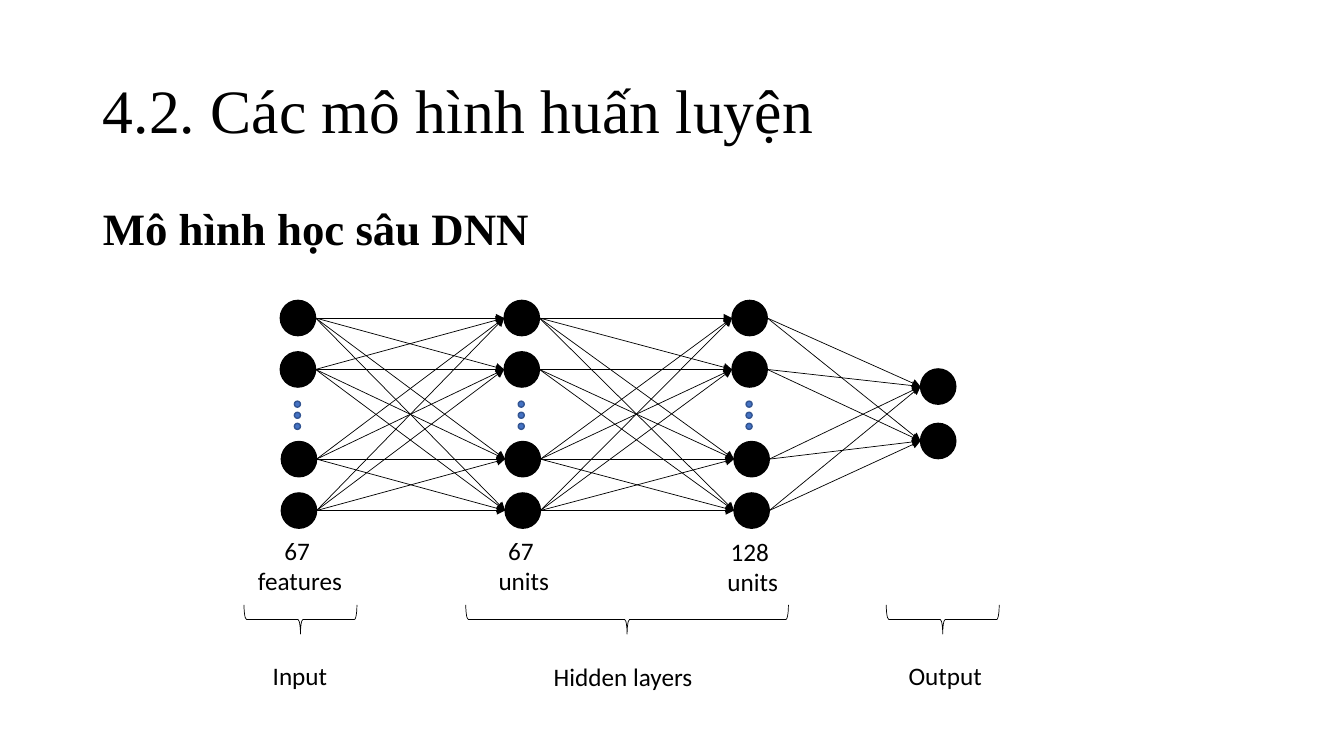
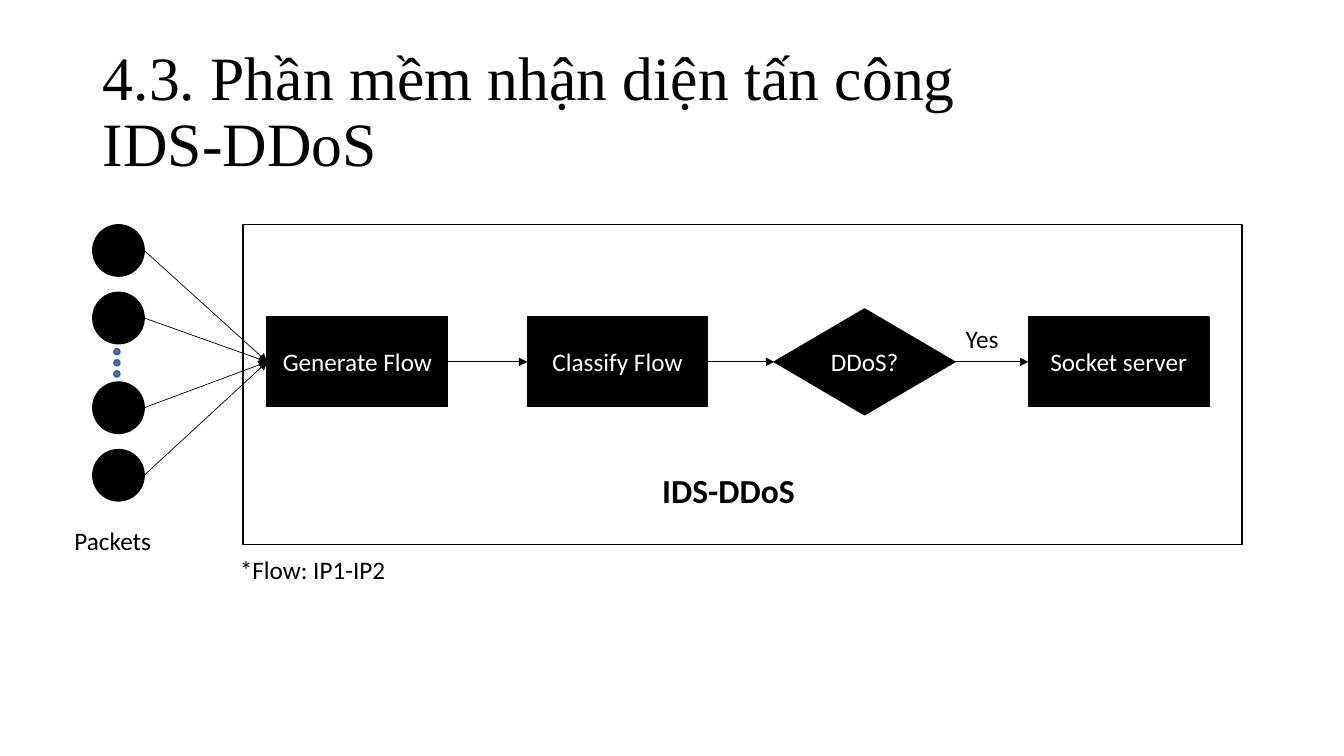
from dataclasses import dataclass
from itertools import pairwise, product

from lxml.etree import SubElement
from pptx import Presentation
from pptx.dml.color import RGBColor
from pptx.enum.shapes import MSO_CONNECTOR, MSO_SHAPE
from pptx.enum.text import MSO_ANCHOR, MSO_AUTO_SIZE, PP_ALIGN
from pptx.oxml.ns import qn
from pptx.presentation import Presentation as PresentationType
from pptx.shapes.autoshape import Shape
from pptx.shapes.connector import Connector
from pptx.slide import Slide
from pptx.text.text import TextFrame
from pptx.util import Inches, Pt

BLACK = RGBColor(0x00, 0x00, 0x00)
WHITE = RGBColor(0xFF, 0xFF, 0xFF)
DOT_BLUE = RGBColor(0x44, 0x72, 0xC4)
DOT_EDGE = RGBColor(0x32, 0x54, 0x91)

HEADING_FONT = "Times New Roman"
LABEL_FONT = "Calibri"

LEFT_SIDE = 1
RIGHT_SIDE = 3
DOT_SIZE = 0.06
DOT_STEP = 0.11


@dataclass(frozen=True)
class Box:
    left: float
    top: float
    width: float
    height: float


@dataclass(frozen=True)
class Label:
    text: str
    box: Box
    size: int = 18
    bold: bool = False
    align: PP_ALIGN = PP_ALIGN.LEFT


@dataclass(frozen=True)
class Layer:
    left: float
    tops: tuple[float, ...]
    lower_shift: float = 0.01


@dataclass(frozen=True)
class Brace:
    center: float
    width: float


@dataclass(frozen=True)
class Step:
    text: str
    left: float
    height: float = 0.89
    preset: MSO_SHAPE = MSO_SHAPE.RECTANGLE


TITLE_BOX = Box(0.92, 0.4, 11.5, 1.45)
BODY_BOX = Box(0.92, 2, 11.5, 4.76)

NODE_SIZE = 0.35
LAYER_TOPS = (2.98, 3.49, 4.38, 4.89)
LAYERS = (
    Layer(2.78, LAYER_TOPS),
    Layer(5, LAYER_TOPS),
    Layer(7.26, LAYER_TOPS, 0.02),
    Layer(9.13, (3.66, 4.2), 0),
)
UNLINKED = {(1, 1, 0)}
BRACES = (Brace(2.98, 1.12), Brace(6.22, 3.2), Brace(9.35, 1.12))
BRACE_TOP = 6
BRACE_DEPTH = 0.29
NETWORK_LABELS = (
    Label("67 \nfeatures", Box(2.28, 5.26, 1.39, 0.71), align=PP_ALIGN.CENTER),
    Label("67 \nunits", Box(4.5, 5.26, 1.39, 0.71), align=PP_ALIGN.CENTER),
    Label("128 \nunits", Box(6.77, 5.27, 1.39, 0.71), align=PP_ALIGN.CENTER),
    Label("Input", Box(2.28, 6.5, 1.39, 0.4), align=PP_ALIGN.CENTER),
    Label("Hidden layers", Box(5.03, 6.51, 2.3, 0.4), align=PP_ALIGN.CENTER),
    Label("Output", Box(8.68, 6.5, 1.39, 0.4), align=PP_ALIGN.CENTER),
)

PACKET_LEFT = 0.92
PACKET_SIZE = 0.51
PACKET_TOPS = (2.23, 2.9, 3.79, 4.46)
SYSTEM_BOX = Box(2.41, 2.23, 9.91, 3.17)
STEP_WIDTH = 1.79
STEP_MIDDLE = 3.59
STEPS = (
    Step("Generate Flow", 2.65),
    Step("Classify Flow", 5.23),
    Step("DDoS?", 7.68, 1.05, MSO_SHAPE.DIAMOND),
    Step("Socket server", 10.2),
)
SOFTWARE_LABELS = (
    Label("Packets", Box(0.64, 5.16, 0.98, 0.4)),
    Label("IDS-DDoS", Box(6.47, 4.61, 2.17, 0.5), size=24, bold=True),
    Label("Yes", Box(9.48, 3.16, 0.99, 0.4)),
    Label("*Flow: IP1-IP2", Box(2.28, 5.45, 2.36, 0.4)),
)


def place(shape: Shape, box: Box) -> None:
    shape.left, shape.top = Inches(box.left), Inches(box.top)
    shape.width, shape.height = Inches(box.width), Inches(box.height)


def format_text(
    text_frame: TextFrame,
    font_name: str,
    size: int,
    color: RGBColor,
    align: PP_ALIGN,
    bold: bool = False,
) -> None:
    for paragraph in text_frame.paragraphs:
        paragraph.alignment = align
        for run in paragraph.runs:
            run.font.name = font_name
            run.font.size = Pt(size)
            run.font.bold = bold
            run.font.color.rgb = color


def fill_placeholder(
    shape: Shape, box: Box, text: str, size: int, anchor: MSO_ANCHOR, bold: bool = False
) -> None:
    place(shape, box)
    text_frame = shape.text_frame
    text_frame.text = text
    text_frame.auto_size = MSO_AUTO_SIZE.NONE
    text_frame.vertical_anchor = anchor
    paragraph = text_frame.paragraphs[0]
    properties = paragraph._p.get_or_add_pPr()
    properties.set("marL", "0")
    properties.set("indent", "0")
    SubElement(properties, qn("a:buNone"))
    paragraph.line_spacing = 0.9
    paragraph.space_before = Pt(0)
    format_text(text_frame, HEADING_FONT, size, BLACK, PP_ALIGN.LEFT, bold)


def add_titled_slide(presentation: PresentationType, layout_name: str, title: str) -> Slide:
    layout = presentation.slide_layouts.get_by_name(layout_name)
    slide = presentation.slides.add_slide(layout)
    fill_placeholder(slide.shapes.title, TITLE_BOX, title, 44, MSO_ANCHOR.MIDDLE)
    return slide


def add_preset(
    slide: Slide,
    preset: MSO_SHAPE,
    box: Box,
    fill: RGBColor | None = BLACK,
    line: RGBColor = BLACK,
    line_width: float = 1,
) -> Shape:
    shape = slide.shapes.add_shape(preset, 0, 0, 0, 0)
    place(shape, box)
    shape.shadow.inherit = False
    if fill is None:
        shape.fill.background()
    else:
        shape.fill.solid()
        shape.fill.fore_color.rgb = fill
    shape.line.color.rgb = line
    shape.line.width = Pt(line_width)
    return shape


def add_circle(slide: Slide, left: float, top: float, size: float) -> Shape:
    return add_preset(slide, MSO_SHAPE.OVAL, Box(left, top, size, size))


def add_dots(slide: Slide, left: float, top: float) -> None:
    for index in range(3):
        box = Box(left, top + index * DOT_STEP, DOT_SIZE, DOT_SIZE)
        add_preset(slide, MSO_SHAPE.OVAL, box, DOT_BLUE, DOT_EDGE)


def add_label(slide: Slide, label: Label) -> None:
    shape = slide.shapes.add_textbox(0, 0, 0, 0)
    place(shape, label.box)
    text_frame = shape.text_frame
    text_frame.word_wrap = True
    text_frame.auto_size = MSO_AUTO_SIZE.SHAPE_TO_FIT_TEXT
    text_frame.text = label.text
    format_text(text_frame, LABEL_FONT, label.size, BLACK, label.align, label.bold)


def add_arrow(slide: Slide, source: Shape, target: Shape) -> Connector:
    connector = slide.shapes.add_connector(
        MSO_CONNECTOR.STRAIGHT,
        source.left + source.width,
        source.top + source.height // 2,
        target.left,
        target.top + target.height // 2,
    )
    connector.line.color.rgb = BLACK
    connector.line.width = Pt(0.5)
    properties = connector._element.spPr
    SubElement(properties.find(qn("a:ln")), qn("a:tailEnd"), type="triangle")
    SubElement(properties, qn("a:effectLst"))
    return connector


def add_layer(slide: Slide, layer: Layer) -> list[Shape]:
    half = len(layer.tops) // 2
    return [
        add_circle(slide, layer.left + (layer.lower_shift if index >= half else 0), top, NODE_SIZE)
        for index, top in enumerate(layer.tops)
    ]


def add_brace(slide: Slide, brace: Brace) -> None:
    box = Box(
        brace.center - BRACE_DEPTH / 2,
        BRACE_TOP + (BRACE_DEPTH - brace.width) / 2,
        BRACE_DEPTH,
        brace.width,
    )
    shape = add_preset(slide, MSO_SHAPE.LEFT_BRACE, box, fill=None, line_width=0.5)
    shape.rotation = 270


def add_step(slide: Slide, step: Step) -> Shape:
    box = Box(step.left, STEP_MIDDLE - step.height / 2, STEP_WIDTH, step.height)
    shape = add_preset(slide, step.preset, box)
    text_frame = shape.text_frame
    text_frame.text = step.text
    text_frame.vertical_anchor = MSO_ANCHOR.MIDDLE
    format_text(text_frame, LABEL_FONT, 18, WHITE, PP_ALIGN.CENTER)
    return shape


def build_network_slide(presentation: PresentationType) -> None:
    slide = add_titled_slide(presentation, "Title and Content", "4.2. Các mô hình huấn luyện")
    body = slide.placeholders[1]
    fill_placeholder(body, BODY_BOX, "Mô hình học sâu DNN", 32, MSO_ANCHOR.TOP, bold=True)
    columns = [add_layer(slide, layer) for layer in LAYERS]
    for layer in LAYERS[:-1]:
        add_dots(slide, layer.left + 0.14, 3.98)
    for gap, (sources, targets) in enumerate(pairwise(columns)):
        for start, end in product(range(len(sources)), range(len(targets))):
            if (gap, start, end) not in UNLINKED:
                add_arrow(slide, sources[start], targets[end])
    for brace in BRACES:
        add_brace(slide, brace)
    for label in NETWORK_LABELS:
        add_label(slide, label)


def build_software_slide(presentation: PresentationType) -> None:
    title = "4.3. Phần mềm nhận diện tấn công \vIDS-DDoS"
    slide = add_titled_slide(presentation, "Title Only", title)
    packets = [add_circle(slide, PACKET_LEFT, top, PACKET_SIZE) for top in PACKET_TOPS]
    add_dots(slide, PACKET_LEFT + 0.21, 3.46)
    add_preset(slide, MSO_SHAPE.RECTANGLE, SYSTEM_BOX, fill=WHITE)
    steps = [add_step(slide, step) for step in STEPS]
    for packet in packets:
        add_arrow(slide, packet, steps[0]).end_connect(steps[0], LEFT_SIDE)
    for source, target in pairwise(steps):
        connector = add_arrow(slide, source, target)
        connector.begin_connect(source, RIGHT_SIDE)
        connector.end_connect(target, LEFT_SIDE)
    for label in SOFTWARE_LABELS:
        add_label(slide, label)


def main() -> None:
    presentation = Presentation()
    presentation.slide_width = Inches(13.33)
    presentation.slide_height = Inches(7.5)
    build_network_slide(presentation)
    build_software_slide(presentation)
    presentation.save("out.pptx")


if __name__ == "__main__":
    main()
